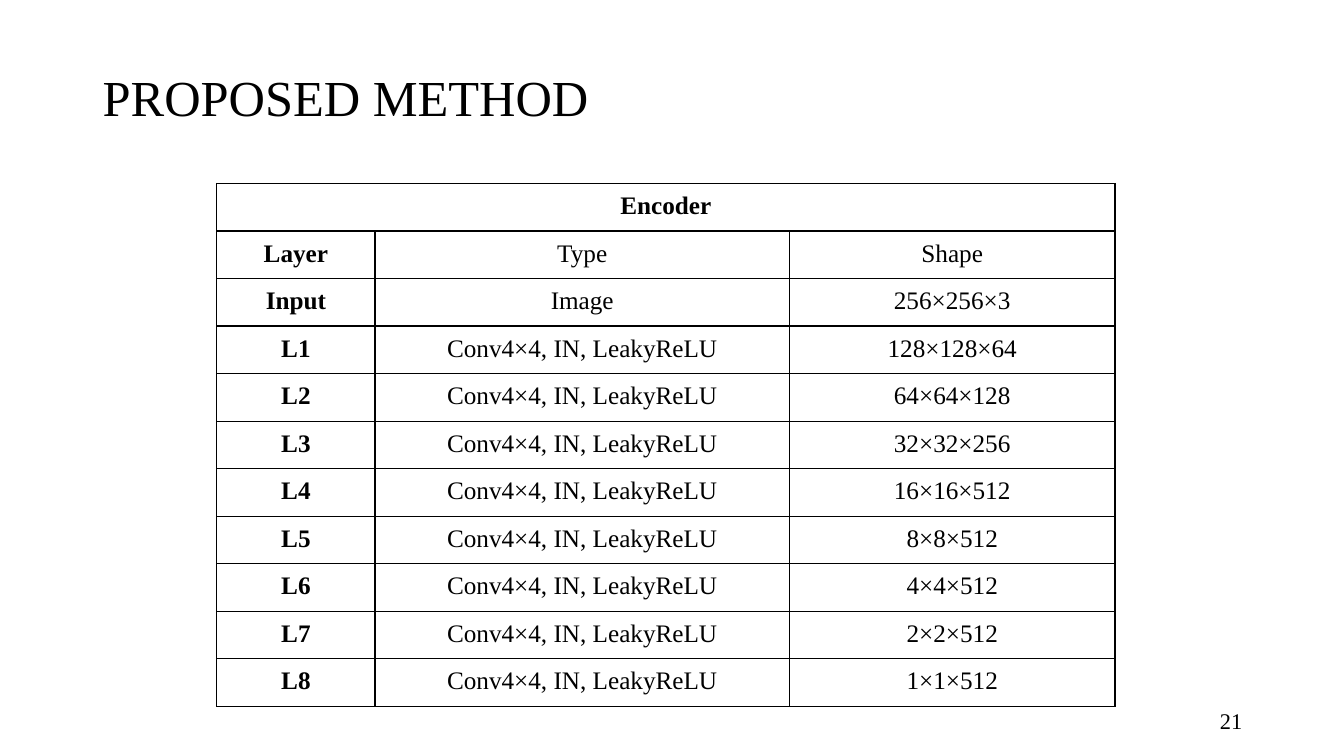
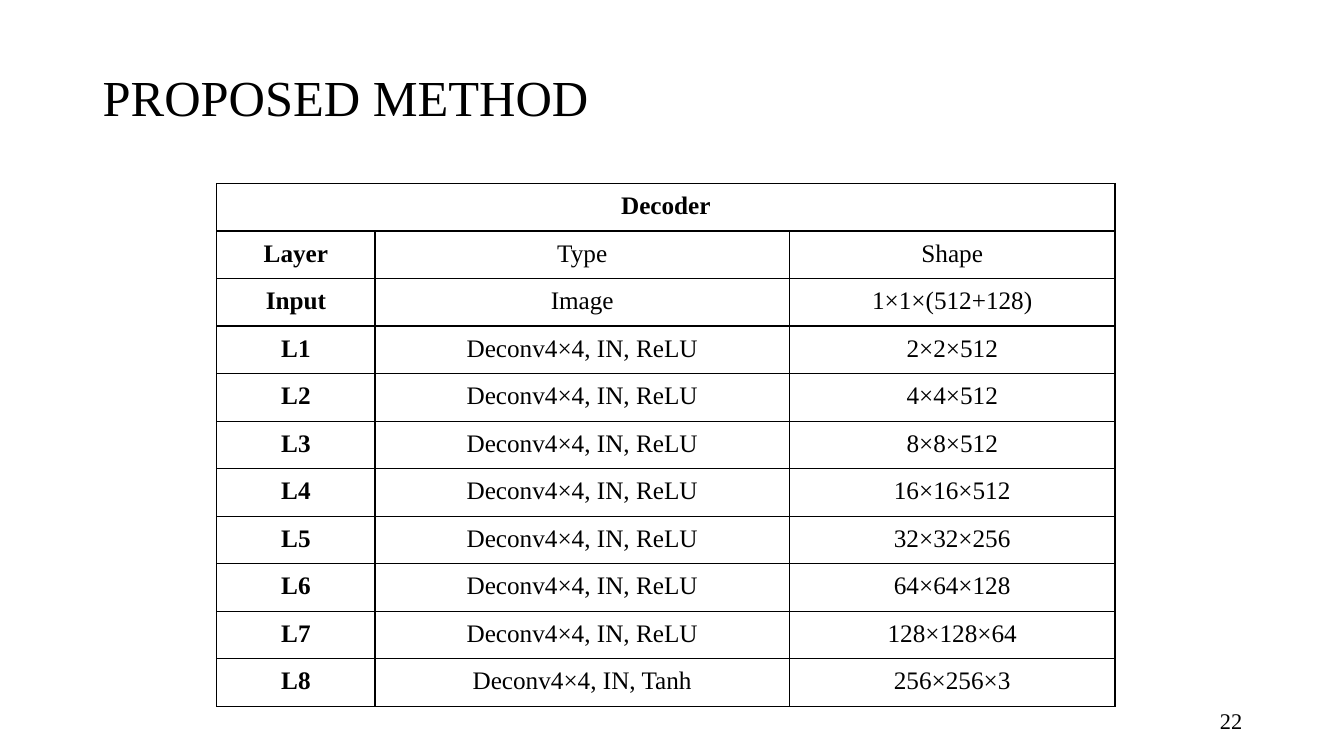
"""Build the encoder and decoder layer tables of the proposed method."""
from lxml import etree
from pptx import Presentation
from pptx.dml.color import RGBColor
from pptx.enum.text import MSO_ANCHOR, PP_ALIGN
from pptx.oxml.ns import qn
from pptx.util import Inches, Pt

MIDDLE = MSO_ANCHOR.MIDDLE
LEFT, CENTER, RIGHT = PP_ALIGN.LEFT, PP_ALIGN.CENTER, PP_ALIGN.RIGHT
BLACK = RGBColor(0x00, 0x00, 0x00)
WHITE = RGBColor(0xFF, 0xFF, 0xFF)
FONT_NAME = "Times New Roman"
BLANK_LAYOUT = 6

WIDTH, HEIGHT = Inches(13.33), Inches(7.5)
TITLE_AREA = (6.9, 5.33, 86.25, 15.87)
TABLE_AREA = (16.13, 24.27, 66.84, 69.2)
NUMBER_AREA = (70.67, 92.67, 22.5, 5.33)
COLUMN_SHARES = (11.78, 30.83, 24.23)
CELL_FORMAT = {
    "vertical_anchor": MIDDLE,
    "margin_left": Inches(0.07),
    "margin_right": Inches(0.07),
    "margin_top": 0,
    "margin_bottom": 0,
}

FIRST_PAGE = 21
LAYERS = ["Layer", "Input"] + [f"L{number}" for number in range(1, 9)]
FEATURE_SHAPES = ["128×128×64", "64×64×128", "32×32×256", "16×16×512",
                  "8×8×512", "4×4×512", "2×2×512"]
NETWORKS = [
    ("Encoder",
     ["Conv4×4, IN, LeakyReLU"] * 8,
     ["256×256×3", *FEATURE_SHAPES, "1×1×512"]),
    ("Decoder",
     ["Deconv4×4, IN, ReLU"] * 7 + ["Deconv4×4, IN, Tanh"],
     ["1×1×(512+128)", *reversed(FEATURE_SHAPES), "256×256×3"]),
]


def place(area):
    """Turn percentages of the slide into left, top, width and height."""
    return [int(share * side / 100) for share, side in zip(area, (WIDTH, HEIGHT) * 2)]


def write(text_frame, text, size, alignment, spacing=None, bold=False):
    """Write one formatted paragraph into a text frame."""
    paragraph = text_frame.paragraphs[0]
    paragraph.alignment = alignment
    paragraph.line_spacing = spacing
    run = paragraph.add_run()
    run.text = text
    run.font.color.rgb = BLACK
    for name, value in {"name": FONT_NAME, "size": Pt(size), "bold": bold}.items():
        setattr(run.font, name, value)


presentation = Presentation()
presentation.slide_width, presentation.slide_height = WIDTH, HEIGHT

for page, (network, types, shapes) in enumerate(NETWORKS, FIRST_PAGE):
    slide = presentation.slides.add_slide(presentation.slide_layouts[BLANK_LAYOUT])
    slide.background.fill.solid()
    slide.background.fill.fore_color.rgb = WHITE

    rows = [(network, "", ""),
            *zip(LAYERS, ["Type", "Image", *types], ["Shape", *shapes])]
    table_area = place(TABLE_AREA)
    table = slide.shapes.add_table(len(rows), len(COLUMN_SHARES), *table_area).table
    for column, share in zip(table.columns, COLUMN_SHARES):
        column.width = int(WIDTH * share / 100)
    for row in table.rows:
        row.height = table_area[3] // len(rows)
    table.cell(0, 0).merge(table.cell(0, len(COLUMN_SHARES) - 1))

    for row_index, texts in enumerate(rows):
        for column_index, text in enumerate(texts):
            cell = table.cell(row_index, column_index)
            for name, value in CELL_FORMAT.items():
                setattr(cell, name, value)
            properties = cell._tc.get_or_add_tcPr()
            for side in ("lnL", "lnR", "lnT", "lnB"):
                border = etree.SubElement(properties, qn(f"a:{side}"), w=str(Pt(1)))
                fill = etree.SubElement(border, qn("a:solidFill"))
                etree.SubElement(fill, qn("a:srgbClr"), val=str(BLACK))
            cell.fill.background()
            if text:
                write(cell.text_frame, text, 18, CENTER, Pt(18), column_index == 0)

    for area, text, size, alignment, spacing in (
        (TITLE_AREA, "PROPOSED METHOD", 36, LEFT, 0.9),
        (NUMBER_AREA, str(page), 16, RIGHT, None),
    ):
        text_frame = slide.shapes.add_textbox(*place(area)).text_frame
        text_frame.word_wrap = True
        text_frame.vertical_anchor = MIDDLE
        write(text_frame, text, size, alignment, spacing)

presentation.save("out.pptx")
